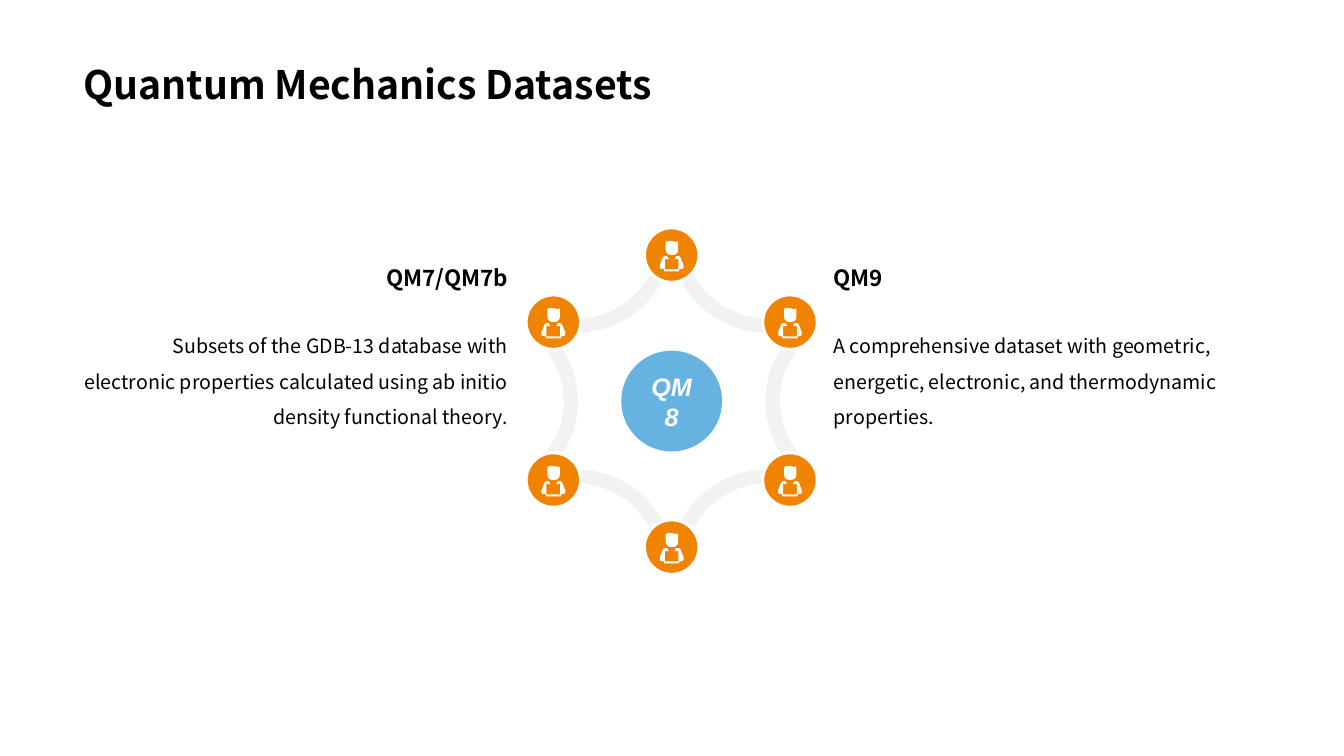
from math import cos, radians, sin
from pptx import Presentation
from pptx.dml.color import RGBColor
from pptx.enum.shapes import MSO_SHAPE
from pptx.enum.text import MSO_ANCHOR, PP_ALIGN
from pptx.util import Pt

OVAL = MSO_SHAPE.OVAL
TOP, MIDDLE, BOTTOM = MSO_ANCHOR.TOP, MSO_ANCHOR.MIDDLE, MSO_ANCHOR.BOTTOM
LEFT, CENTER, RIGHT = PP_ALIGN.LEFT, PP_ALIGN.CENTER, PP_ALIGN.RIGHT
FONT = "Noto Sans CJK SC"
HUB_X, HUB_Y = 479.8, 286.5


def color(code):
    return RGBColor.from_string(code)


def outline(shapes, paths, fill):
    """Draw closed paths, given in points, as one filled shape."""
    pen = None
    for path in paths:
        spots = [(Pt(x), Pt(y)) for x, y in path]
        if pen is None:
            pen = shapes.build_freeform(*spots[0], scale=1.0)
        else:
            pen.move_to(*spots[0])
        pen.add_line_segments(spots[1:], close=True)
    shape = pen.convert_to_shape()
    shape.shadow.inherit = False
    shape.fill.solid()
    shape.fill.fore_color.rgb = color(fill)
    shape.line.fill.background()


deck = Presentation()
deck.slide_width, deck.slide_height = Pt(960), Pt(540)
slide = deck.slides.add_slide(deck.slide_layouts[6])

# Ring: six arcs curving towards the hub, with a tip behind each node
outer, inner = [], []
for turn in range(0, 360, 60):
    mid_x = HUB_X + 135.4 * cos(radians(turn))
    mid_y = HUB_Y + 135.4 * sin(radians(turn))
    for edge, radius, span in ((outer, 58.3, 48), (inner, 68.4, 42)):
        for step in range(span, -span - 1, -3):
            angle = radians(turn + 180 + step)
            edge.append((mid_x + radius * cos(angle), mid_y + radius * sin(angle)))
    tip = radians(turn + 30)
    outer.append((HUB_X + 111.6 * cos(tip), HUB_Y + 111.6 * sin(tip)))
outline(slide.shapes, [outer, inner[::-1]], "F2F2F2")

# Person icon, relative to the centre of its node
head = [(-4.2, -3.6), (-4.2, -9.3), (-2.5, -10.2), (0.2, -10), (2, -9.5),
        (4.6, -9.6), (4.6, -3.6), (4.1, -1.7), (2.6, -0.4), (0.2, 0),
        (-2.2, -0.4), (-3.7, -1.7)]
arm = [(-4.9, 2.9), (-2, 2.9), (-3.3, 0.7), (-4.9, 0.7), (-6, 1.2),
       (-6.5, 2.2), (-8.5, 7.3), (-8.5, 9), (-7.9, 9.7), (-6.5, 10.1),
       (-4.9, 10.1)]
base = [(-5.4, 10.2), (5.4, 10.2), (5.4, 11.6), (-5.4, 11.6)]
person = [head, arm, [(-x, y) for x, y in arm], base]

nodes = [(0, -104.3), (0, 104.3), (84.5, -56.4), (84.5, 56.4),
         (-84.5, -56.4), (-84.5, 56.4)]
for dx, dy in nodes:
    x, y = HUB_X + dx, HUB_Y + dy
    group = slide.shapes.add_group_shape()
    disc = group.shapes.add_shape(OVAL, Pt(x - 19.5), Pt(y - 19.5), Pt(39), Pt(39))
    disc.shadow.inherit = False
    disc.fill.solid()
    disc.fill.fore_color.rgb = color("F08300")
    disc.line.color.rgb = color("FFFFFF")
    disc.line.width = Pt(2.25)
    outline(group.shapes, [[(x + px, y + py) for px, py in part] for part in person],
            "FFFFFF")

hub = slide.shapes.add_shape(OVAL, Pt(HUB_X - 36), Pt(HUB_Y - 36), Pt(72), Pt(72))
hub.shadow.inherit = False
hub.fill.solid()
hub.fill.fore_color.rgb = color("66B3E1")
hub.line.fill.background()
hub.text_frame.word_wrap = True
hub.text_frame.vertical_anchor = MIDDLE
line = hub.text_frame.paragraphs[0]
line.alignment = CENTER
run = line.add_run()
run.text = "QM8"
run.font.name, run.font.size = "Arial", Pt(18)
run.font.bold = run.font.italic = True
run.font.color.rgb = color("FFFFFF")

# Left, top, width, height, size, bold, align, anchor, line spacing, text
texts = [
    (52.5, 226.8, 317.5, 157, 14, False, RIGHT, TOP, 1.5,
     "Subsets of the GDB-13 database with electronic properties "
     "calculated using ab initio density functional theory."),
    (52.5, 185, 317.5, 26.6, 16, True, RIGHT, TOP, 1.0, "QM7/QM7b"),
    (588.4, 226.8, 318, 157, 14, False, LEFT, TOP, 1.5,
     "A comprehensive dataset with geometric, energetic, electronic, "
     "and thermodynamic properties."),
    (588.4, 185, 318, 26.6, 16, True, LEFT, TOP, 1.0, "QM9"),
    (52.5, 0, 854.5, 80.6, 28, True, LEFT, BOTTOM, 0.9,
     "Quantum Mechanics Datasets"),
]
for x, y, width, height, size, bold, align, anchor, space, words in texts:
    frame = slide.shapes.add_textbox(Pt(x), Pt(y), Pt(width), Pt(height)).text_frame
    frame.word_wrap = True
    frame.vertical_anchor = anchor
    line = frame.paragraphs[0]
    line.alignment = align
    line.line_spacing = space
    run = line.add_run()
    run.text = words
    run.font.name, run.font.size, run.font.bold = FONT, Pt(size), bold
    run.font.color.rgb = color("000000")

deck.save("out.pptx")
